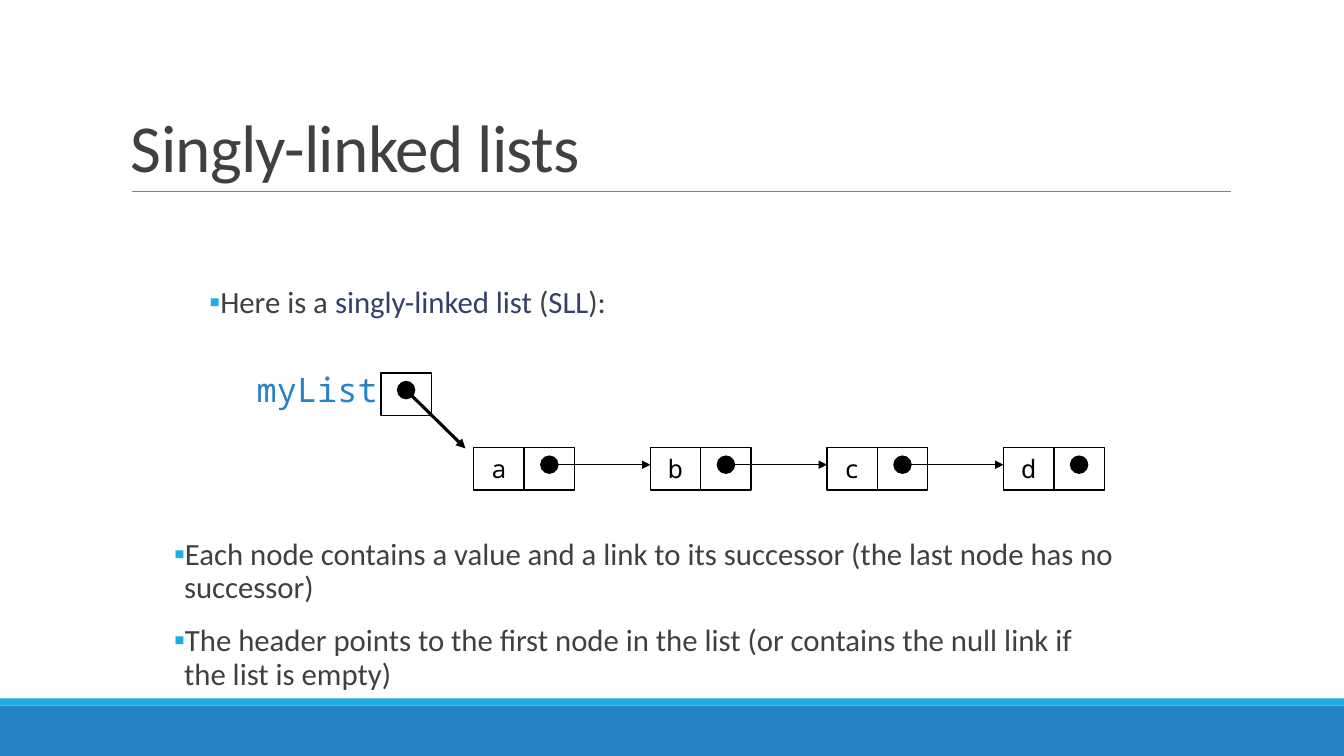
from dataclasses import dataclass

import pptx
import pptx.dml.color
import pptx.enum.shapes
import pptx.enum.text
import pptx.oxml
import pptx.oxml.ns
import pptx.util
from lxml import etree

Cm, Pt = pptx.util.Cm, pptx.util.Pt
Anchor, Align = pptx.enum.text.MSO_ANCHOR, pptx.enum.text.PP_ALIGN
Preset = pptx.enum.shapes.MSO_SHAPE


@dataclass(frozen=True)
class Theme:
    text: str = "404040"
    term: str = "344068"
    blue: str = "2683C6"
    cyan: str = "1CADE4"
    rule: str = "808080"
    ink: str = "000000"
    sans: str = "Calibri"
    mono: str = "Noto Sans Mono"
    title_size: float = 48
    body_size: float = 22
    label_size: float = 24
    value_size: float = 18


CELL_WIDTH, CELL_HEIGHT = 1.27, 1.07
DOT_DROP, DOT_SIZE = 0.43, 0.43
NODE_LEFT, NODE_TOP, NODE_PITCH = 11.94, 11.28, 4.45
HEADER_LEFT, HEADER_TOP = 9.6, 9.4


def rgb(color):
    return pptx.dml.color.RGBColor.from_string(color)


def add_element(parent, tag, **attributes):
    return etree.SubElement(parent, pptx.oxml.ns.qn(tag), **attributes)


class SlideBuilder:
    def __init__(self, slide, theme):
        self.slide = slide
        self.theme = theme

    def style_font(self, font, name, size, color):
        font.name = name
        font.size = Pt(size)
        font.color.rgb = rgb(color)

    def add_shape(self, preset, left, top, width, height, fill=None, line=None):
        shape = self.slide.shapes.add_shape(preset, Cm(left), Cm(top), Cm(width), Cm(height))
        shape.shadow.inherit = False
        if fill:
            shape.fill.solid()
            shape.fill.fore_color.rgb = rgb(fill)
        else:
            shape.fill.background()
        if line:
            shape.line.color.rgb = rgb(line)
            shape.line.width = Pt(1)
        else:
            shape.line.fill.background()
        return shape

    def add_line(self, start, end, color, width, arrow=False):
        connector = self.slide.shapes.add_connector(
            pptx.enum.shapes.MSO_CONNECTOR.STRAIGHT, *map(Cm, start + end))
        connector.line.color.rgb = rgb(color)
        connector.line.width = Pt(width)
        if arrow:
            add_element(connector.line._get_or_add_ln(), "a:tailEnd", type="triangle")
        add_element(connector._element.spPr, "a:effectLst")

    def add_text_frame(self, left, top, width, height, anchor=Anchor.TOP):
        box = self.slide.shapes.add_textbox(Cm(left), Cm(top), Cm(width), Cm(height))
        frame = box.text_frame
        frame.word_wrap = True
        frame.vertical_anchor = anchor
        return frame

    def add_title(self, text):
        frame = self.add_text_frame(3.05, 0.79, 27.94, 4.04, Anchor.BOTTOM)
        paragraph = frame.paragraphs[0]
        paragraph.line_spacing = 0.85
        self.style_font(paragraph.font, self.theme.sans, self.theme.title_size, self.theme.text)
        run = paragraph.add_run()
        run.text = text
        run._r.get_or_add_rPr().set("spc", "-50")

    def add_bullets(self, left, top, height, items):
        """Each item is a list of pieces; every second piece is a coloured term."""
        frame = self.add_text_frame(left, top, 23.83, height)
        frame.margin_left = frame.margin_right = 0
        for index, pieces in enumerate(items):
            paragraph = frame.add_paragraph() if index else frame.paragraphs[0]
            paragraph.line_spacing = 0.9
            paragraph.space_after = Pt(2)
            if index:
                paragraph.space_before = Pt(12)
            properties = paragraph._p.get_or_add_pPr()
            properties.set("marL", str(Cm(0.25)))
            properties.set("indent", str(Cm(-0.25)))
            bullet_color = add_element(properties, "a:buClr")
            add_element(bullet_color, "a:srgbClr", val=self.theme.cyan)
            add_element(properties, "a:buFont", typeface=self.theme.sans)
            add_element(properties, "a:buChar", char="▪")
            self.style_font(paragraph.font, self.theme.sans, self.theme.body_size, self.theme.text)
            for position, piece in enumerate(pieces):
                run = paragraph.add_run()
                run.text = piece
                if position % 2:
                    run.font.color.rgb = rgb(self.theme.term)

    def add_label(self, text, left, top, width, height):
        paragraph = self.add_text_frame(left, top, width, height).paragraphs[0]
        paragraph.text = text
        self.style_font(paragraph.font, self.theme.mono, self.theme.label_size, self.theme.blue)

    def add_cell(self, left, top):
        return self.add_shape(Preset.RECTANGLE, left, top, CELL_WIDTH, CELL_HEIGHT,
                              line=self.theme.ink)

    def add_value_cell(self, left, top, value):
        frame = self.add_cell(left, top).text_frame
        frame.word_wrap = False
        frame.vertical_anchor = Anchor.MIDDLE
        paragraph = frame.paragraphs[0]
        paragraph.text = value
        paragraph.alignment = Align.CENTER
        self.style_font(paragraph.font, self.theme.mono, self.theme.value_size, self.theme.ink)

    def add_link_cell(self, left, top):
        """Draw a cell with a dot and return the centre of the dot."""
        self.add_cell(left, top)
        x, y = left + CELL_WIDTH / 2, top + DOT_DROP
        self.add_shape(Preset.OVAL, x - DOT_SIZE / 2, y - DOT_SIZE / 2, DOT_SIZE, DOT_SIZE,
                       self.theme.ink, self.theme.ink)
        return x, y


def main():
    presentation = pptx.Presentation()
    presentation.slide_width, presentation.slide_height = Cm(33.87), Cm(19.05)
    theme = Theme()
    builder = SlideBuilder(presentation.slides.add_slide(presentation.slide_layouts[6]), theme)

    builder.add_shape(Preset.RECTANGLE, 0, 17.78, 33.87, 1.27, theme.blue)
    builder.add_shape(Preset.RECTANGLE, 0, 17.6, 33.87, 0.18, theme.cyan)
    builder.add_line((3.33, 4.83), (31.01, 4.83), theme.rule, 0.5)
    builder.add_title("Singly-linked lists")
    builder.add_bullets(5.28, 7.11, 1.98, [
        ["Here is a ", "singly-linked list", " (", "SLL", "):"],
    ])
    builder.add_bullets(4.39, 13.46, 4.8, [
        ["Each node contains a value and a link to its successor "
         "(the last node has no successor)"],
        ["The header points to the first node in the list "
         "(or contains the null link if the list is empty)"],
    ])

    values = "abcd"
    for index, value in enumerate(values):
        left = NODE_LEFT + index * NODE_PITCH
        builder.add_value_cell(left, NODE_TOP, value)
        x, y = builder.add_link_cell(left + CELL_WIDTH, NODE_TOP)
        if index < len(values) - 1:
            builder.add_line((x, y), (left + NODE_PITCH, y), theme.ink, 1, arrow=True)

    header_dot = builder.add_link_cell(HEADER_LEFT, HEADER_TOP)
    builder.add_line(header_dot, (11.73, 11.3), theme.ink, 2.25, arrow=True)
    builder.add_label("myList", 6.22, 9.17, 3.61, 1.3)

    presentation.save("out.pptx")


if __name__ == "__main__":
    main()
